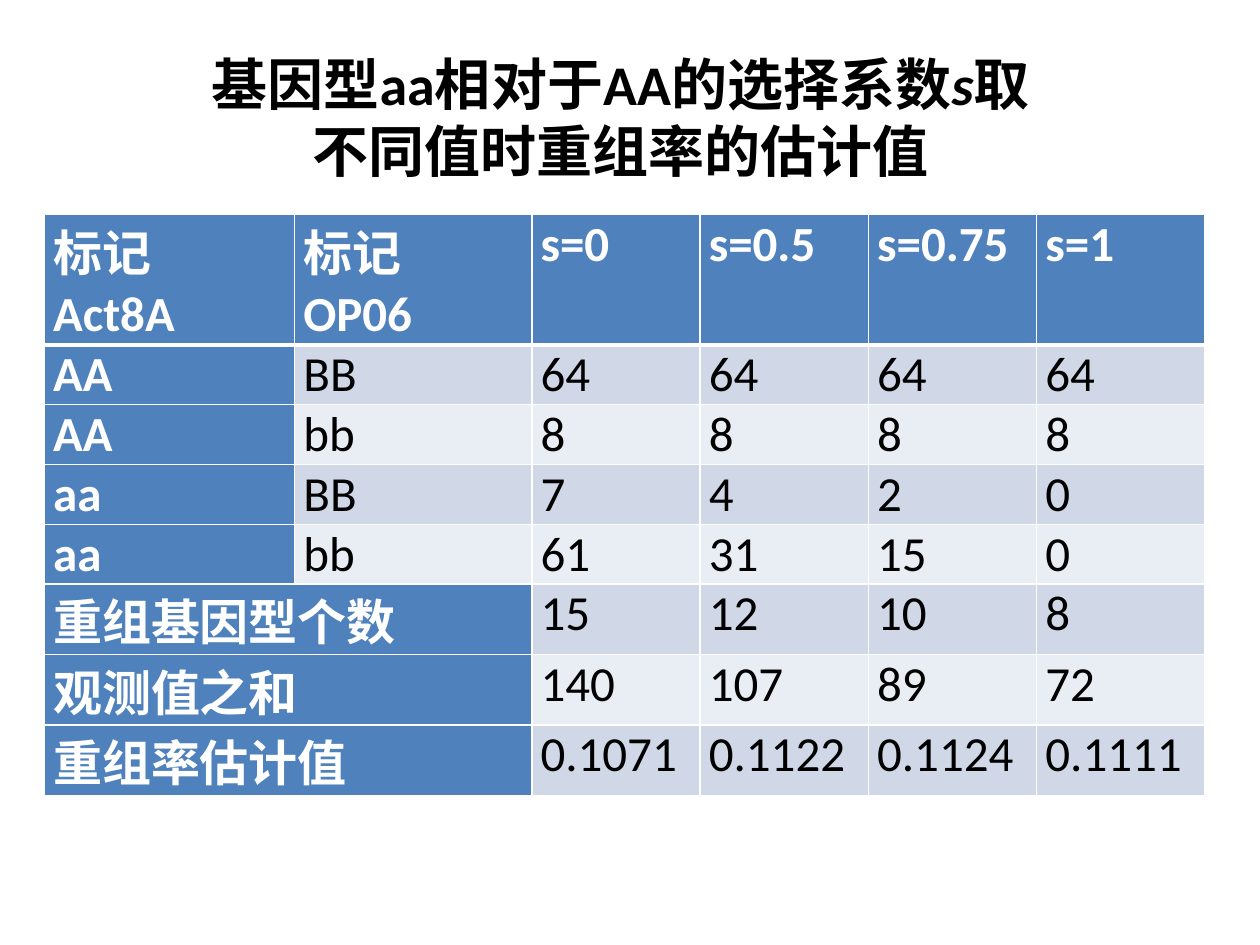
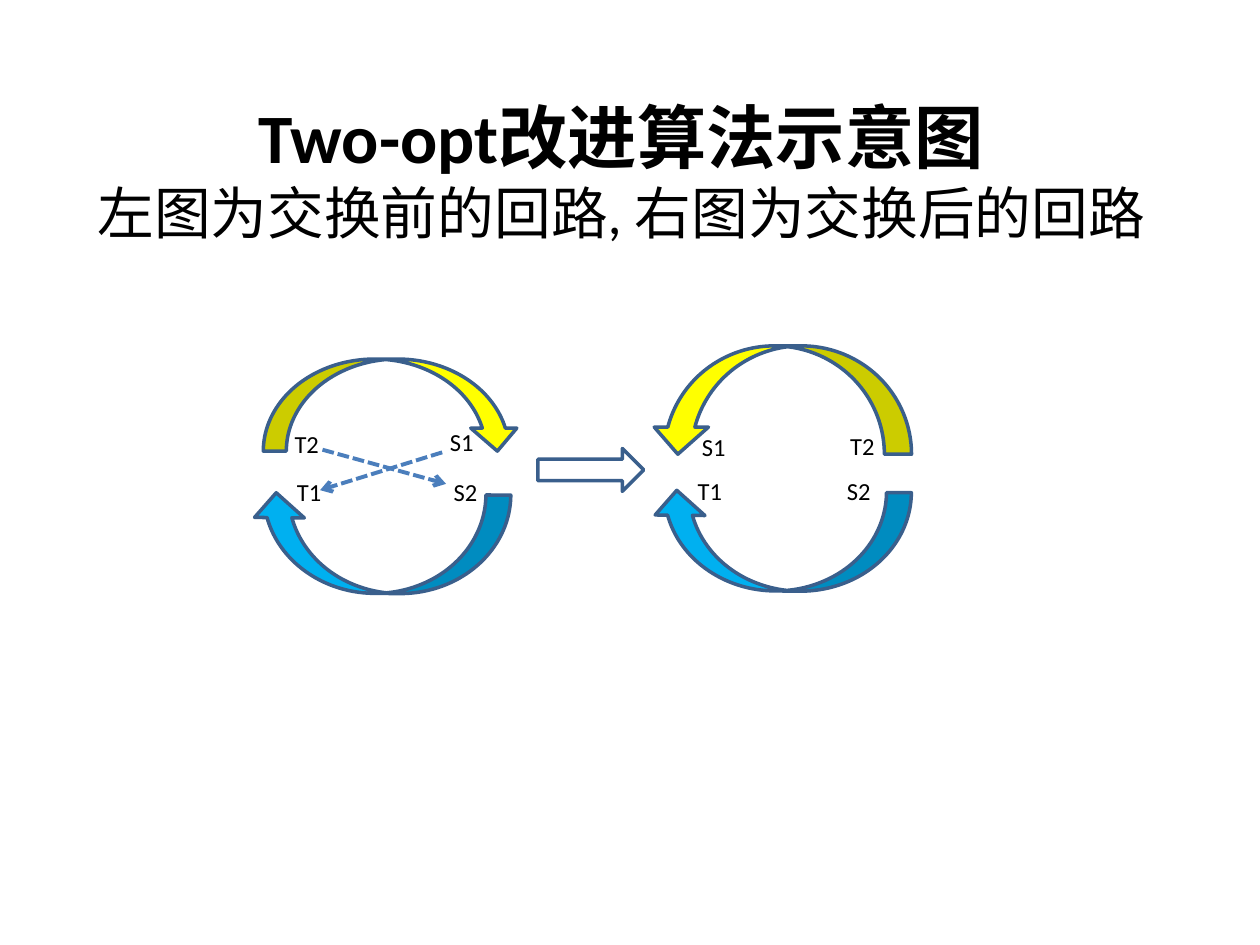
from dataclasses import dataclass

from pptx import Presentation
from pptx.dml.color import RGBColor
from pptx.enum.dml import MSO_LINE
from pptx.enum.shapes import MSO_CONNECTOR, MSO_SHAPE
from pptx.enum.text import MSO_ANCHOR, PP_ALIGN
from pptx.oxml.ns import qn
from pptx.slide import Slide
from pptx.table import _Cell
from pptx.util import Pt
from lxml.etree import SubElement

FONT = "Calibri"
BLACK = RGBColor(0x00, 0x00, 0x00)
WHITE = RGBColor(0xFF, 0xFF, 0xFF)
HEADER_BLUE = RGBColor(0x4F, 0x81, 0xBD)
BAND_DARK = RGBColor(0xD0, 0xD8, 0xE8)
BAND_LIGHT = RGBColor(0xE9, 0xED, 0xF4)
YELLOW = RGBColor(0xFF, 0xFF, 0x00)
SKY = RGBColor(0x00, 0xB0, 0xF0)
OUTLINE = RGBColor(0x3A, 0x5F, 0x8C)
EXCHANGE_BLUE = RGBColor(0x4B, 0x7E, 0xBC)

COLUMN_WIDTHS = [143, 135.5] + [96.2] * 4
ROW_HEIGHTS = [74.5] + [34.2] * 4 + [40.3] * 3
CELL_MARGINS = {"margin_left": 5, "margin_right": 5, "margin_top": 0, "margin_bottom": 0}
# A row with five entries has a heading that spans the two marker columns.
RECOMBINATION_ROWS = [
    ["标记\vAct8A", "标记\vOP06", "s=0", "s=0.5", "s=0.75", "s=1"],
    ["AA", "BB", "64", "64", "64", "64"],
    ["AA", "bb", "8", "8", "8", "8"],
    ["aa", "BB", "7", "4", "2", "0"],
    ["aa", "bb", "61", "31", "15", "0"],
    ["重组基因型个数", "15", "12", "10", "8"],
    ["观测值之和", "140", "107", "89", "72"],
    ["重组率估计值", "0.1071", "0.1122", "0.1124", "0.1111"],
]


@dataclass(frozen=True)
class Box:
    left: float
    top: float
    width: float
    height: float

    def lengths(self) -> list[Pt]:
        return [Pt(v) for v in (self.left, self.top, self.width, self.height)]


@dataclass(frozen=True)
class TextRun:
    text: str
    size: float
    bold: bool = False
    italic: bool = False
    color: RGBColor = BLACK


@dataclass(frozen=True)
class BlockArrow:
    preset: MSO_SHAPE
    box: Box
    fill: RGBColor | None = None
    rotation: float = 0


@dataclass(frozen=True)
class NodeLabel:
    text: str
    left: float
    top: float


@dataclass(frozen=True)
class Exchange:
    start: tuple[float, float]
    end: tuple[float, float]


TOUR_ARROWS = [
    BlockArrow(MSO_SHAPE.CURVED_DOWN_ARROW, Box(143.3, 282.2, 148.3, 56.9), SKY, 180.6),
    BlockArrow(MSO_SHAPE.CURVED_DOWN_ARROW, Box(150.5, 205.2, 146.9, 52.6), YELLOW),
    BlockArrow(MSO_SHAPE.CURVED_RIGHT_ARROW, Box(415.4, 154.1, 61.9, 149), YELLOW, 90),
    BlockArrow(MSO_SHAPE.CURVED_DOWN_ARROW, Box(372.2, 280.8, 148.3, 56.9), SKY, 180.6),
    BlockArrow(MSO_SHAPE.RIGHT_ARROW, Box(307.4, 256.3, 60.5, 24.5)),
]
NODE_LABELS = [
    NodeLabel("T2", 158.4, 241.9),
    NodeLabel("S1", 247, 240.5),
    NodeLabel("T1", 159.8, 269.3),
    NodeLabel("S2", 249.1, 269.3),
    NodeLabel("S1", 391, 243.4),
    NodeLabel("T2", 475.9, 242.6),
    NodeLabel("T1", 388.8, 268.6),
    NodeLabel("S2", 473.8, 268.6),
]
EXCHANGES = [
    Exchange((252.7, 258.5), (182.9, 280.1)),
    Exchange((184.3, 257), (254.9, 276.5)),
]


def write_runs(paragraph, runs: list[TextRun]) -> None:
    """Add formatted runs; a vertical tab in a text becomes a line break."""
    for part in runs:
        for index, line in enumerate(part.text.split("\v")):
            if index:
                paragraph.add_line_break()
            if not line:
                continue
            run = paragraph.add_run()
            run.text = line
            styles = {"name": FONT, "size": Pt(part.size), "bold": part.bold, "italic": part.italic}
            for attribute, value in styles.items():
                setattr(run.font, attribute, value)
            run.font.color.rgb = part.color


def add_centred_text(slide: Slide, box: Box, runs: list[TextRun], anchor=MSO_ANCHOR.TOP) -> None:
    frame = slide.shapes.add_textbox(*box.lengths()).text_frame
    frame.word_wrap = True
    frame.vertical_anchor = anchor
    frame.paragraphs[0].alignment = PP_ALIGN.CENTER
    write_runs(frame.paragraphs[0], runs)


def add_title(slide: Slide, box: Box, runs: list[TextRun]) -> None:
    add_centred_text(slide, box, runs, MSO_ANCHOR.MIDDLE)


def set_borders(cell: _Cell, top: float, bottom: float) -> None:
    properties = cell._tc.get_or_add_tcPr()
    for side, width in {"L": 1, "R": 1, "T": top, "B": bottom}.items():
        border = SubElement(properties, qn(f"a:ln{side}"), w=str(Pt(width)))
        fill = SubElement(border, qn("a:solidFill"))
        SubElement(fill, qn("a:srgbClr"), val=str(WHITE))


def fill_cell(cell: _Cell, text: str, row: int, is_heading: bool) -> None:
    set_borders(cell, top=3 if row == 1 else 1, bottom=3 if row == 0 else 1)
    cell.fill.solid()
    band = BAND_DARK if row % 2 else BAND_LIGHT
    cell.fill.fore_color.rgb = HEADER_BLUE if is_heading else band
    for attribute, value in CELL_MARGINS.items():
        setattr(cell, attribute, Pt(value))
    color = WHITE if is_heading else BLACK
    write_runs(cell.text_frame.paragraphs[0], [TextRun(text, 28, is_heading, color=color)])


def add_recombination_table(slide: Slide) -> None:
    box = Box(25.4, 122.6, sum(COLUMN_WIDTHS), sum(ROW_HEIGHTS))
    table = slide.shapes.add_table(len(ROW_HEIGHTS), len(COLUMN_WIDTHS), *box.lengths()).table
    table.first_row = table.horz_banding = False
    for column, width in zip(table.columns, COLUMN_WIDTHS):
        column.width = Pt(width)
    for row, height in zip(table.rows, ROW_HEIGHTS):
        row.height = Pt(height)
    for row, texts in enumerate(RECOMBINATION_ROWS):
        skipped = len(COLUMN_WIDTHS) - len(texts)
        if skipped:
            table.cell(row, 0).merge(table.cell(row, skipped))
        for index, text in enumerate(texts):
            column = index + skipped if index else 0
            fill_cell(table.cell(row, column), text, row, row == 0 or column == 0)


def add_block_arrow(slide: Slide, arrow: BlockArrow) -> None:
    shape = slide.shapes.add_shape(arrow.preset, *arrow.box.lengths())
    shape.shadow.inherit = False
    shape.rotation = arrow.rotation
    if arrow.fill is None:
        shape.fill.background()
    else:
        shape.fill.solid()
        shape.fill.fore_color.rgb = arrow.fill
    shape.line.color.rgb = OUTLINE
    shape.line.width = Pt(2)


def add_exchange(slide: Slide, exchange: Exchange) -> None:
    ends = [Pt(v) for v in exchange.start + exchange.end]
    connector = slide.shapes.add_connector(MSO_CONNECTOR.STRAIGHT, *ends)
    connector.line.color.rgb = EXCHANGE_BLUE
    connector.line.width = Pt(2.25)
    connector.line.dash_style = MSO_LINE.SQUARE_DOT
    SubElement(connector.line._get_or_add_ln(), qn("a:tailEnd"), type="arrow")
    SubElement(connector._element.spPr, qn("a:effectLst"))


def build_recombination_slide(slide: Slide) -> None:
    add_title(slide, Box(105.1, 21.6, 499, 90), [
        TextRun("基因型aa相对于AA的选择系数", 32, bold=True),
        TextRun("s", 32, bold=True, italic=True),
        TextRun("取不同值时重组率的估计值", 32, bold=True),
    ])
    add_recombination_table(slide)


def build_two_opt_slide(slide: Slide) -> None:
    add_title(slide, Box(31, 49, 648, 96.5), [
        TextRun("Two-opt改进算法示意图\v", 39.6, bold=True),
        TextRun("左图为交换前的回路, 右图为交换后的回路", 32.4),
    ])
    for arrow in TOUR_ARROWS:
        add_block_arrow(slide, arrow)
    for label in NODE_LABELS:
        add_centred_text(slide, Box(label.left, label.top, 33.8, 24.5), [TextRun(label.text, 14)])
    for exchange in EXCHANGES:
        add_exchange(slide, exchange)


def main() -> None:
    presentation = Presentation()
    presentation.slide_width, presentation.slide_height = Pt(720), Pt(540)
    blank = presentation.slide_layouts[6]
    for build in (build_recombination_slide, build_two_opt_slide):
        build(presentation.slides.add_slide(blank))
    presentation.save("out.pptx")


if __name__ == "__main__":
    main()
